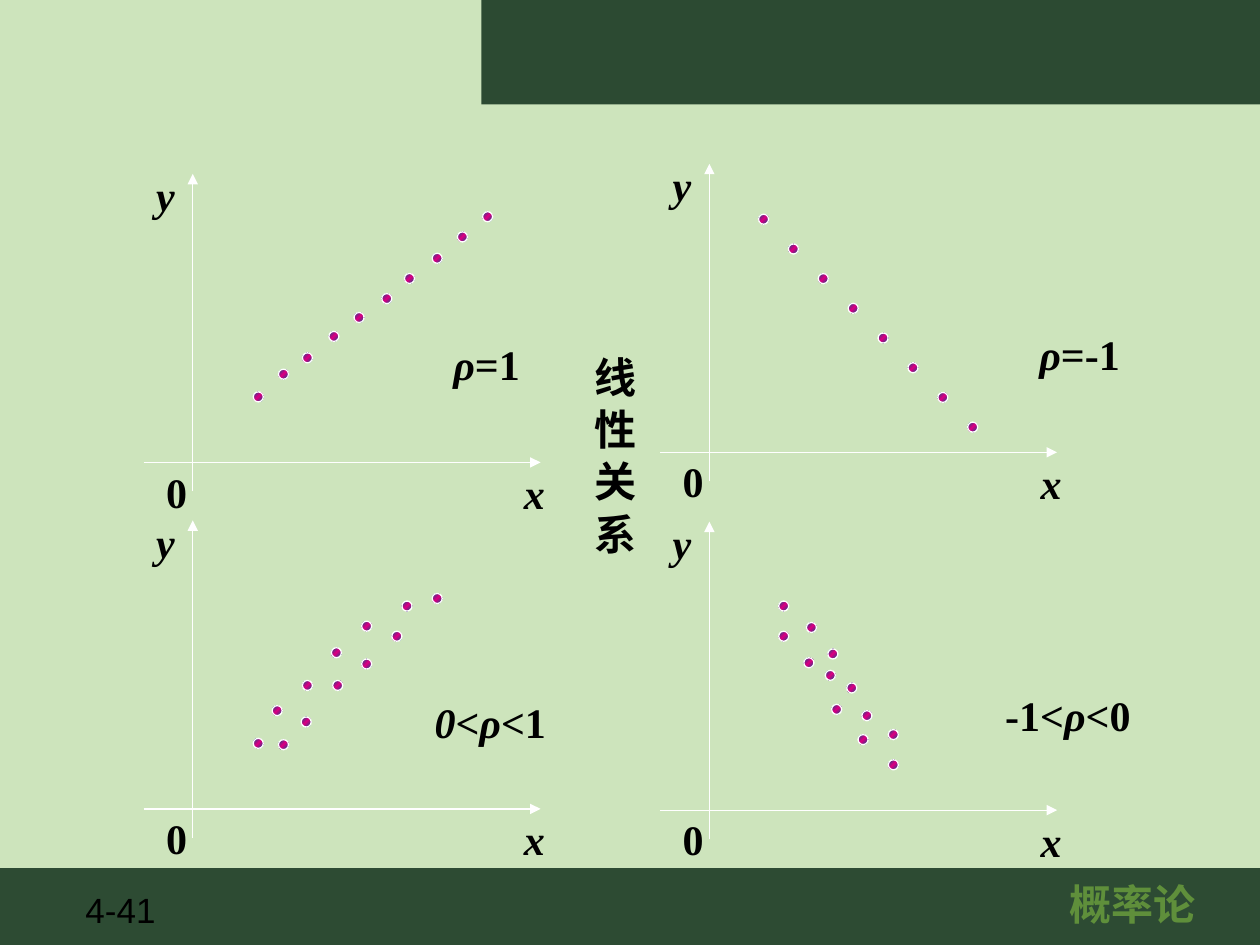
from lxml import etree
from pptx import Presentation
from pptx.dml.color import RGBColor as RGB
from pptx.enum.shapes import MSO_CONNECTOR as LINK, MSO_SHAPE as SHAPE
from pptx.enum.text import MSO_AUTO_SIZE as FIT, PP_ALIGN as ALIGN
from pptx.oxml import parse_xml
from pptx.oxml.ns import nsdecls, qn
from pptx.util import Inches, Pt

BACK = RGB(0xCD, 0xE4, 0xBC)
FOOT = RGB(0x2D, 0x4B, 0x33)
HEAD = RGB(0x2C, 0x4A, 0x32)
LEAF = RGB(0x5F, 0x8F, 0x3B)
RIM = RGB(0x0A, 0x57, 0x8C)
CORE = RGB(0xDC, 0x00, 0x81)
WHITE = RGB(0xFF, 0xFF, 0xFF)
BLACK = RGB(0, 0, 0)

SERIF = "Times New Roman"
SANS = "Arial"
DOT = 0.08

# Left edge and top of the axes, then the top left corner of each dot
PLOTS = [
    (1.14, 1.38, [(2.01, 3.11), (2.21, 2.93), (2.4, 2.8), (2.61, 2.63),
                  (2.81, 2.48), (3.03, 2.33), (3.21, 2.17), (3.43, 2.01),
                  (3.63, 1.84), (3.83, 1.68)]),
    (5.24, 1.3, [(6.02 + 1.66 * i / 7, 1.7 + 1.65 * i / 7) for i in range(8)]),
    (1.14, 4.13, [(2.01, 5.86), (2.21, 5.87), (2.16, 5.6), (2.39, 5.69),
                  (2.4, 5.4), (2.64, 5.4), (2.63, 5.14), (2.87, 5.23),
                  (2.87, 4.93), (3.11, 5.01), (3.19, 4.77), (3.43, 4.71)]),
    (5.24, 4.14, [(6.18, 4.77), (6.18, 5.01), (6.4, 4.94), (6.38, 5.22),
                  (6.57, 5.15), (6.55, 5.32), (6.72, 5.42), (6.6, 5.59),
                  (6.84, 5.64), (6.81, 5.83), (7.05, 5.79), (7.05, 6.03)]),
]

# Left, top, width, then runs as (text, italic)
NOTES = [
    (3.5, 2.64, 1.26, [("ρ", True), ("=1", False)]),
    (8.15, 2.56, 1.18, [("ρ", True), ("=-1", False)]),
    (3.35, 5.48, 1.58, [("0<ρ", True), ("<1", False)]),
    (7.88, 5.42, 1.73, [("-1", False), ("<ρ<", True), ("0", False)]),
]


def add_band(shapes, left, top, width, height, color):
    band = shapes.add_shape(SHAPE.RECTANGLE, Inches(left), Inches(top),
                            Inches(width), Inches(height))
    band.shadow.inherit = False
    band.fill.solid()
    band.fill.fore_color.rgb = color
    band.line.fill.background()


def add_text(shapes, left, top, width, runs, height=0.5, font=SERIF,
             size=24, color=BLACK, bold=True, align=None):
    """Add a one-line box; runs are (text, italic) pairs."""
    box = shapes.add_textbox(Inches(left), Inches(top),
                             Inches(width), Inches(height))
    frame = box.text_frame
    frame.word_wrap = True
    frame.auto_size = FIT.SHAPE_TO_FIT_TEXT
    para = frame.paragraphs[0]
    para.alignment = align
    for text, slant in runs:
        run = para.add_run()
        run.text = text
        run.font.name = font
        run.font.size = Pt(size)
        run.font.color.rgb = color
        run.font.bold = bold
        run.font.italic = slant
    return frame


def add_down(shapes):
    """Add the caption that reads from top to bottom."""
    frame = add_text(shapes, 4.52, 2.73, 0.6, [("线 性 关 系", False)],
                     height=2.6, font=SANS, align=ALIGN.CENTER)
    frame.auto_size = FIT.NONE
    frame.margin_left = frame.margin_right = Inches(0.05)
    frame.margin_top = frame.margin_bottom = Inches(0.1)
    frame._txBody.bodyPr.set("vert", "eaVert")


def add_axis(shapes, x1, y1, x2, y2):
    axis = shapes.add_connector(LINK.STRAIGHT, Inches(x1), Inches(y1),
                                Inches(x2), Inches(y2))
    axis.line.color.rgb = WHITE
    axis.line.width = Pt(0.75)
    tip = etree.SubElement(axis.line._get_or_add_ln(), qn("a:tailEnd"))
    tip.set("type", "triangle")
    etree.SubElement(axis._element.spPr, qn("a:effectLst"))


def add_dot(shapes, left, top):
    dot = shapes.add_shape(SHAPE.OVAL, Inches(left), Inches(top),
                           Inches(DOT), Inches(DOT))
    dot.shadow.inherit = False
    dot.line.color.rgb = WHITE
    dot.line.width = Pt(0.75)
    stops = "".join(
        f'<a:gs pos="{pos}"><a:srgbClr val="{color}"/></a:gs>'
        for pos, color in [(0, RIM), (50000, CORE), (100000, RIM)])
    fill = parse_xml(f'<a:gradFill {nsdecls("a")}><a:gsLst>{stops}</a:gsLst>'
                     '<a:lin ang="2700000" scaled="1"/></a:gradFill>')
    dot._element.spPr.find(qn("a:prstGeom")).addnext(fill)


def add_plot(slide, left, top, dots):
    shapes = slide.shapes.add_group_shape().shapes
    base = top + 2.29
    add_axis(shapes, left, base, left + 3.15, base)
    add_axis(shapes, left + 0.39, top + 2.52, left + 0.39, top)
    for text, x, y in [("0", 0.08, 2.27), ("x", 2.92, 2.28), ("y", 0, -0.08)]:
        add_text(shapes, left + x, top + y, 0.31, [(text, text != "0")])
    for x, y in dots:
        add_dot(shapes, x, y)


def main():
    deck = Presentation()
    deck.slide_width, deck.slide_height = Inches(10), Inches(7.5)
    slide = deck.slides.add_slide(deck.slide_layouts[6])
    slide.background.fill.solid()
    slide.background.fill.fore_color.rgb = BACK
    shapes = slide.shapes

    add_band(shapes, 0, 6.89, 10, 0.63, FOOT)
    add_text(shapes, 0.58, 7, 0.78, [("4-41", False)], height=0.43,
             font=SANS, size=20, bold=False)
    add_text(shapes, 7.44, 6.92, 3.09, [("概率论", False)],
             font=SANS, color=LEAF, align=ALIGN.CENTER)
    add_band(shapes, 3.82, 0, 6.18, 0.83, HEAD)
    for plot in PLOTS:
        add_plot(slide, *plot)
    for note in NOTES:
        add_text(shapes, *note)
    add_down(shapes)
    deck.save("out.pptx")


if __name__ == "__main__":
    main()
